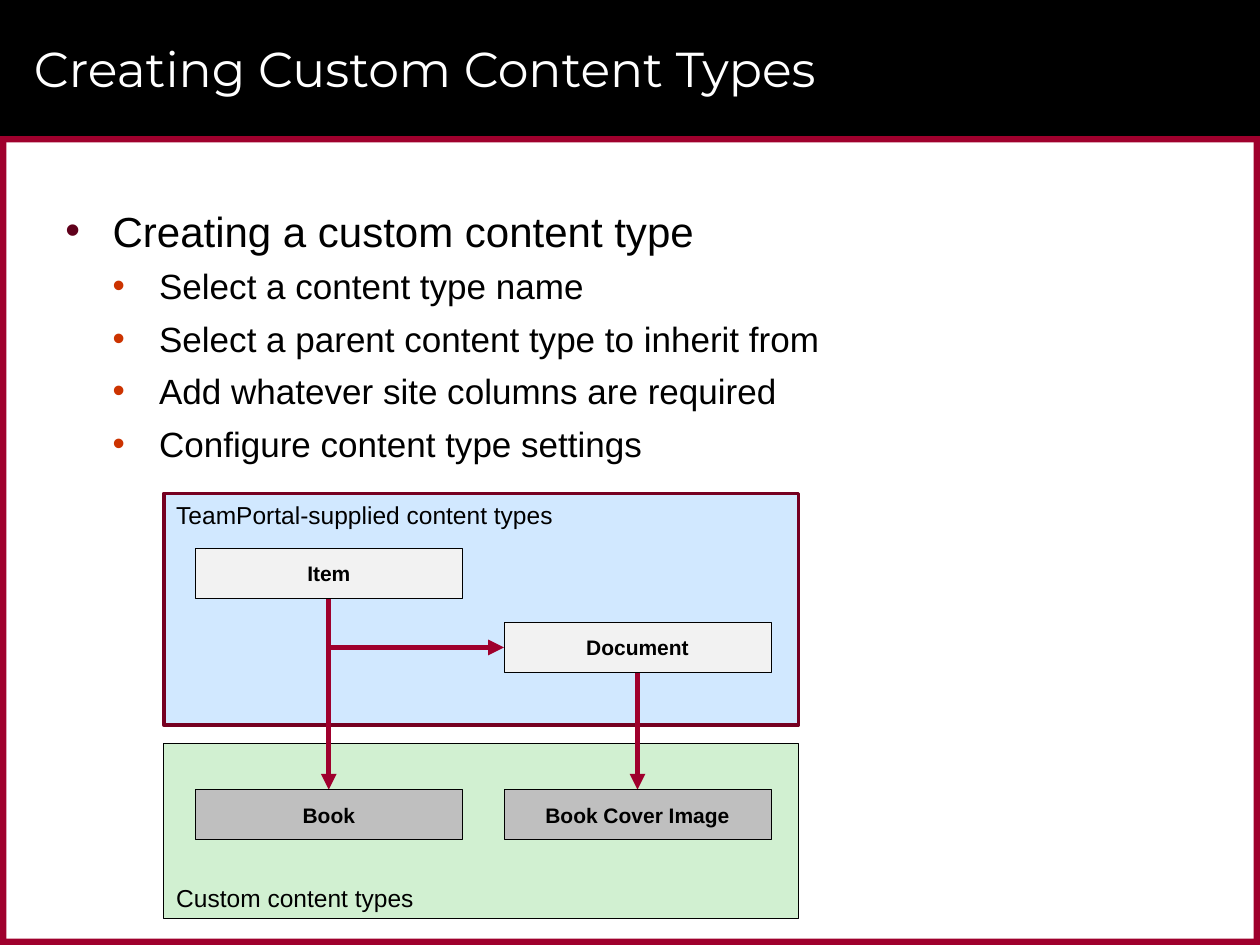
import pptx
import pptx.util
import pptx.dml.color
import pptx.enum.shapes
import pptx.enum.text
import pptx.oxml
import pptx.oxml.ns

Pt = pptx.util.Pt
RGB = pptx.dml.color.RGBColor
ANCHOR = pptx.enum.text.MSO_ANCHOR
ALIGN = pptx.enum.text.PP_ALIGN

BLACK = RGB(0x00, 0x00, 0x00)
WHITE = RGB(0xFF, 0xFF, 0xFF)
CRIMSON = RGB(0x9F, 0x00, 0x2D)
MAROON = RGB(0x76, 0x00, 0x21)
BULLET_DARK = RGB(0x60, 0x00, 0x1B)
BULLET_ORANGE = RGB(0xCC, 0x33, 0x00)
PALE_BLUE = RGB(0xD1, 0xE8, 0xFF)
PALE_GREEN = RGB(0xD1, 0xF0, 0xD1)
LIGHT_GRAY = RGB(0xF2, 0xF2, 0xF2)
MID_GRAY = RGB(0xBF, 0xBF, 0xBF)

W, H = 720, 540
HEADER_H, BORDER = 77.76, 3.6
TITLE = "Creating Custom Content Types"
HEADING = "Creating a custom content type"
STEPS = [
    "Select a content type name",
    "Select a parent content type to inherit from",
    "Add whatever site columns are required",
    "Configure content type settings",
]
PANEL_X, PANEL_W = 93.6, 362.7
PANELS = [
    ("TeamPortal-supplied content types", 282, 132.4, PALE_BLUE, MAROON, 2, ANCHOR.TOP),
    ("Custom content types", 424.8, 100.2, PALE_GREEN, BLACK, 0.5, ANCHOR.BOTTOM),
]
CARD_W, CARD_H = 152.6, 28.6
LEFT, RIGHT = 111.6, 288
ITEM_Y, DOCUMENT_Y, CUSTOM_Y = 313.4, 355.7, 451.2
CARDS = [
    ("Item", LEFT, ITEM_Y, LIGHT_GRAY),
    ("Document", RIGHT, DOCUMENT_Y, LIGHT_GRAY),
    ("Book", LEFT, CUSTOM_Y, MID_GRAY),
    ("Book Cover Image", RIGHT, CUSTOM_Y, MID_GRAY),
]


def add_text(tf, text, size, font="Arial", color=BLACK, bold=False, align=ALIGN.LEFT,
             anchor=ANCHOR.TOP, bullet=None, indent=(0, 0), before=0, after=0):
    tf.word_wrap = True
    tf.vertical_anchor = anchor
    p = tf.add_paragraph() if tf.text else tf.paragraphs[0]
    p.alignment = align
    p.space_before, p.space_after = Pt(before), Pt(after)
    if bullet is not None:
        pPr = p._p.get_or_add_pPr()
        pPr.set("marL", str(Pt(indent[0])))
        pPr.set("indent", str(Pt(indent[1])))
        ns = pptx.oxml.ns.nsdecls("a")
        for xml in (f'<a:buClr {ns}><a:srgbClr val="{bullet}"/></a:buClr>',
                    f'<a:buFont {ns} typeface="Arial"/>',
                    f'<a:buChar {ns} char="•"/>'):
            pPr.append(pptx.oxml.parse_xml(xml))
    r = p.add_run()
    r.text = text
    r.font.name, r.font.size, r.font.bold = font, Pt(size), bold
    r.font.color.rgb = color
    return p


def add_rect(s, x, y, w, h, fill, line=None, width=0.5):
    sp = s.shapes.add_shape(pptx.enum.shapes.MSO_SHAPE.RECTANGLE, Pt(x), Pt(y), Pt(w), Pt(h))
    sp.shadow.inherit = False
    sp.fill.solid()
    sp.fill.fore_color.rgb = fill
    if line is None:
        sp.line.fill.background()
    else:
        sp.line.color.rgb = line
        sp.line.width = Pt(width)
    return sp


def add_arrow(s, x1, y1, x2, y2):
    cn = s.shapes.add_connector(pptx.enum.shapes.MSO_CONNECTOR.STRAIGHT,
                                Pt(x1), Pt(y1), Pt(x2), Pt(y2))
    cn.line.color.rgb = CRIMSON
    cn.line.width = Pt(3)
    ns = pptx.oxml.ns.nsdecls("a")
    cn.line._get_or_add_ln().append(pptx.oxml.parse_xml(f'<a:tailEnd {ns} type="triangle"/>'))
    cn._element.spPr.append(pptx.oxml.parse_xml(f"<a:effectLst {ns}/>"))


def main():
    prs = pptx.Presentation()
    prs.slide_width, prs.slide_height = Pt(W), Pt(H)
    s = prs.slides.add_slide(prs.slide_layouts[6])

    add_rect(s, 0, 0, W, HEADER_H, BLACK)
    for x, y, w, h in [
        (0, HEADER_H, W, BORDER),
        (0, H - BORDER, W, BORDER),
        (W - BORDER, HEADER_H, BORDER, H - HEADER_H),
        (0, HEADER_H, BORDER, H - HEADER_H),
    ]:
        add_rect(s, x, y, w, h, CRIMSON)

    for text, y, h, fill, line, width, anchor in PANELS:
        sp = add_rect(s, PANEL_X, y, PANEL_W, h, fill, line, width)
        add_text(sp.text_frame, text, 14, anchor=anchor)

    title = s.shapes.add_textbox(Pt(12.24), Pt(5.76), Pt(678), Pt(66.24))
    add_text(title.text_frame, TITLE, 28, font="Montserrat", color=WHITE, anchor=ANCHOR.MIDDLE)

    body = s.shapes.add_textbox(Pt(30.24), Pt(113.76), Pt(660), Pt(408))
    add_text(body.text_frame, HEADING, 24, bullet=BULLET_DARK, indent=(27, -27), after=2)
    for step in STEPS:
        p = add_text(body.text_frame, step, 20, bullet=BULLET_ORANGE, indent=(53.6, -26.6),
                     before=3, after=3)
        p.level = 1

    item_x, document_x = LEFT + CARD_W / 2, RIGHT + CARD_W / 2
    branch_y = DOCUMENT_Y + CARD_H / 2
    add_arrow(s, item_x, ITEM_Y + CARD_H, item_x, CUSTOM_Y)
    add_arrow(s, item_x, branch_y, RIGHT, branch_y)
    add_arrow(s, document_x, DOCUMENT_Y + CARD_H, document_x, CUSTOM_Y)

    for text, x, y, fill in CARDS:
        sp = add_rect(s, x, y, CARD_W, CARD_H, fill, BLACK)
        add_text(sp.text_frame, text, 12, bold=True, align=ALIGN.CENTER, anchor=ANCHOR.MIDDLE)

    prs.save("out.pptx")


if __name__ == "__main__":
    main()
